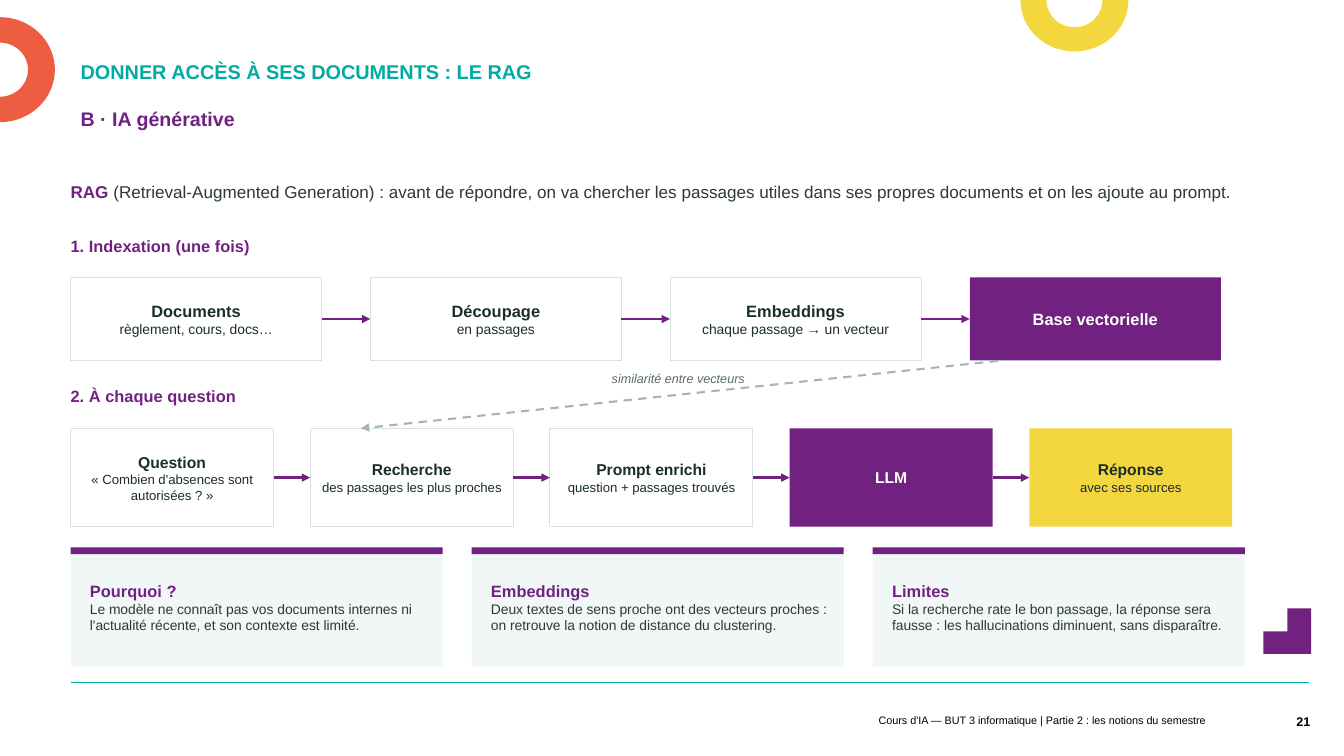
from math import cos, radians, sin

from lxml import etree
from pptx import Presentation
from pptx.dml.color import RGBColor
from pptx.enum import dml, shapes, text as t
from pptx.oxml import ns
from pptx.util import Pt

COLORS = {
    "purple": "712180", "teal": "00ABA1", "yellow": "F4D73F", "red": "ED5D42",
    "white": "FFFFFF", "black": "000000", "ink": "1A2E2B", "body": "2B3A38",
    "border": "D5E3E1", "pale": "F0F7F6", "dash": "A9B4B2", "note": "5A6B68",
}
FONT = "Arial"
LEFT = 50.4

TITLE = "DONNER ACCÈS À SES DOCUMENTS : LE RAG"
SUBTITLE = "B · IA générative"
TERM = "RAG "
DEFINITION = ("(Retrieval-Augmented Generation) : avant de répondre, on va chercher les passages "
              "utiles dans ses propres documents et on les ajoute au prompt.")
FLOWS = [
    {"heading": "1. Indexation (une fois)", "heading_top": 168.5,
     "top": 198.2, "width": 179.4, "height": 59.3, "pitch": 214.1, "sizes": (11.7, 9.9),
     "steps": [("Documents", "règlement, cours, docs…", "white"),
               ("Découpage", "en passages", "white"),
               ("Embeddings", "chaque passage → un vecteur", "white"),
               ("Base vectorielle", "", "purple")]},
    {"heading": "2. À chaque question", "heading_top": 275.8,
     "top": 306, "width": 145, "height": 70.3, "pitch": 171.2, "sizes": (11.2, 9.4),
     "steps": [("Question", "« Combien d'absences sont autorisées ? »", "white"),
               ("Recherche", "des passages les plus proches", "white"),
               ("Prompt enrichi", "question + passages trouvés", "white"),
               ("LLM", "", "purple"),
               ("Réponse", "avec ses sources", "yellow")]},
]
SIMILARITY = "similarité entre vecteurs"
CARDS = [
    ("Pourquoi ?", "Le modèle ne connaît pas vos documents internes ni l'actualité récente, "
                   "et son contexte est limité."),
    ("Embeddings", "Deux textes de sens proche ont des vecteurs proches : on retrouve la notion "
                   "de distance du clustering."),
    ("Limites", "Si la recherche rate le bon passage, la réponse sera fausse : les "
                "hallucinations diminuent, sans disparaître."),
]
FOOTER = "Cours d'IA — BUT 3 informatique | Partie 2 : les notions du semestre"
PAGE = "21"

presentation = Presentation()
presentation.slide_width, presentation.slide_height = Pt(960), Pt(540)
slide = presentation.slides.add_slide(presentation.slide_layouts[1])


def rgb(name):
    return RGBColor.from_string(COLORS[name])


def write(shape, text, size, color, bold=False, italic=False, align=t.PP_ALIGN.LEFT,
          same_paragraph=False):
    frame = shape.text_frame
    paragraph = frame.paragraphs[-1]
    if paragraph.runs and not same_paragraph:
        paragraph = frame.add_paragraph()
    paragraph.alignment = align
    run = paragraph.add_run()
    run.text = text
    font = run.font
    font.name, font.size, font.bold, font.italic = FONT, Pt(size), bold, italic
    font.color.rgb = rgb(color)
    return paragraph


def set_frame(shape, insets=(0, 0, 0, 0), anchor=t.MSO_ANCHOR.TOP):
    frame = shape.text_frame
    frame.word_wrap = True
    frame.auto_size = t.MSO_AUTO_SIZE.NONE
    frame.vertical_anchor = anchor
    frame.margin_left, frame.margin_top, frame.margin_right, frame.margin_bottom = map(Pt, insets)


def add_label(left, top, width, height, anchor=t.MSO_ANCHOR.TOP):
    label = slide.shapes.add_textbox(Pt(left), Pt(top), Pt(width), Pt(height))
    set_frame(label, anchor=anchor)
    return label


def paint(shape, fill, border=None):
    shape.shadow.inherit = False
    shape.fill.solid()
    shape.fill.fore_color.rgb = rgb(fill)
    if border:
        shape.line.color.rgb = rgb(border)
        shape.line.width = Pt(0.75)
    else:
        shape.line.fill.background()


def add_box(left, top, width, height, fill, border=None):
    box = slide.shapes.add_shape(shapes.MSO_SHAPE.RECTANGLE,
                                 Pt(left), Pt(top), Pt(width), Pt(height))
    paint(box, fill, border)
    return box


def add_outline(points, fill):
    builder = slide.shapes.build_freeform(*points[0], scale=Pt(1) / 100)
    builder.add_line_segments(points[1:], close=True)
    paint(builder.convert_to_shape(), fill)


def add_half_ring(center_x, center_y, outer, inner, start, fill):
    angles = [radians(start + step) for step in range(0, 181, 5)]
    arcs = [(outer, angles), (inner, angles[::-1])]
    add_outline([(round(100 * (center_x + rx * cos(a))), round(100 * (center_y + ry * sin(a))))
                 for (rx, ry), sweep in arcs for a in sweep], fill)


def add_line(start, end, color, width, arrow=True):
    line = slide.shapes.add_connector(shapes.MSO_CONNECTOR.STRAIGHT, *map(Pt, start + end))
    line.line.color.rgb = rgb(color)
    line.line.width = Pt(width)
    if arrow:
        etree.SubElement(line.line._get_or_add_ln(), ns.qn("a:tailEnd"), type="triangle")
    etree.SubElement(line._element.spPr, ns.qn("a:effectLst"))
    return line


def add_heading(placeholder, text, top, height, size, color, spacing, anchor):
    placeholder.left, placeholder.top = Pt(LEFT), Pt(top)
    placeholder.width, placeholder.height = Pt(700), Pt(height)
    set_frame(placeholder, (7.2, 3.6, 7.2, 3.6), anchor)
    paragraph = write(placeholder, text, size, color, bold=True)
    paragraph.line_spacing = spacing
    paragraph.space_before = Pt(0)
    properties = paragraph._p.get_or_add_pPr()
    properties.set("marL", "0")
    properties.set("indent", "0")
    etree.SubElement(properties, ns.qn("a:buNone"))


def add_flow(flow):
    heading = add_label(LEFT, flow["heading_top"], 276, 26)
    write(heading, flow["heading"], 11.7, "purple", bold=True)
    name_size, detail_size = flow["sizes"]
    middle = flow["top"] + flow["height"] / 2
    previous = None
    for index, (name, detail, fill) in enumerate(flow["steps"]):
        left = LEFT + index * flow["pitch"]
        box = add_box(left, flow["top"], flow["width"], flow["height"], fill,
                      "border" if fill == "white" else None)
        set_frame(box, (3.3, 0, 3.3, 0), t.MSO_ANCHOR.MIDDLE)
        color = "white" if fill == "purple" else "ink"
        write(box, name, name_size, color, bold=True, align=t.PP_ALIGN.CENTER)
        if detail:
            write(box, detail, detail_size, color, align=t.PP_ALIGN.CENTER)
        if previous:
            arrow = add_line((left - 30, middle), (left, middle), "purple", 2)
            arrow.begin_connect(previous, 3)
            arrow.end_connect(box, 1)
        previous = box


add_half_ring(767.5, 0, (38.6, 36.8), (20, 19.5), 0, "yellow")
add_half_ring(0, 49.8, (39.2, 37.5), (20, 19.3), -90, "red")
add_outline([(91950, 43450), (93650, 43450), (93650, 46700), (90250, 46700),
             (90250, 45100), (91950, 45100)], "purple")
add_line((LEFT, 487.4), (935.3, 487.4), "teal", 0.5, arrow=False)

add_heading(slide.shapes.title, TITLE, 38.9, 24.5, 14.2, "teal", Pt(16.7), t.MSO_ANCHOR.BOTTOM)
add_heading(slide.placeholders[1], SUBTITLE, 74.9, 33, 14, "purple", 0.9, t.MSO_ANCHOR.TOP)

intro = add_label(LEFT, 116.6, 835.2, 41, t.MSO_ANCHOR.MIDDLE)
write(intro, TERM, 12.2, "purple", bold=True)
write(intro, DEFINITION, 12.2, "body", same_paragraph=True)

for flow in FLOWS:
    add_flow(flow)

similarity_arrow = add_line((712.8, 257.8), (257.8, 306), "dash", 1.5)
similarity_arrow.line.dash_style = dml.MSO_LINE.DASH
write(add_label(437, 265, 165.6, 22.3), SIMILARITY, 9, "note", italic=True)

for index, (name, explanation) in enumerate(CARDS):
    left = LEFT + index * 286.5
    card = add_box(left, 391, 265.8, 85, "pale")
    set_frame(card, (13.8, 4.8, 10, 4.3), t.MSO_ANCHOR.MIDDLE)
    write(card, name, 11.7, "purple", bold=True)
    write(card, explanation, 9.9, "body")
    add_box(left, 391, 265.8, 4.8, "purple")

footer = add_label(391, 506.5, 470, 16.5, t.MSO_ANCHOR.MIDDLE)
write(footer, FOOTER, 7.7, "black", align=t.PP_ALIGN.RIGHT)
page = add_label(903.6, 500.5, 32.4, 29, t.MSO_ANCHOR.MIDDLE)
write(page, PAGE, 9, "black", bold=True, align=t.PP_ALIGN.RIGHT)

presentation.save("out.pptx")
